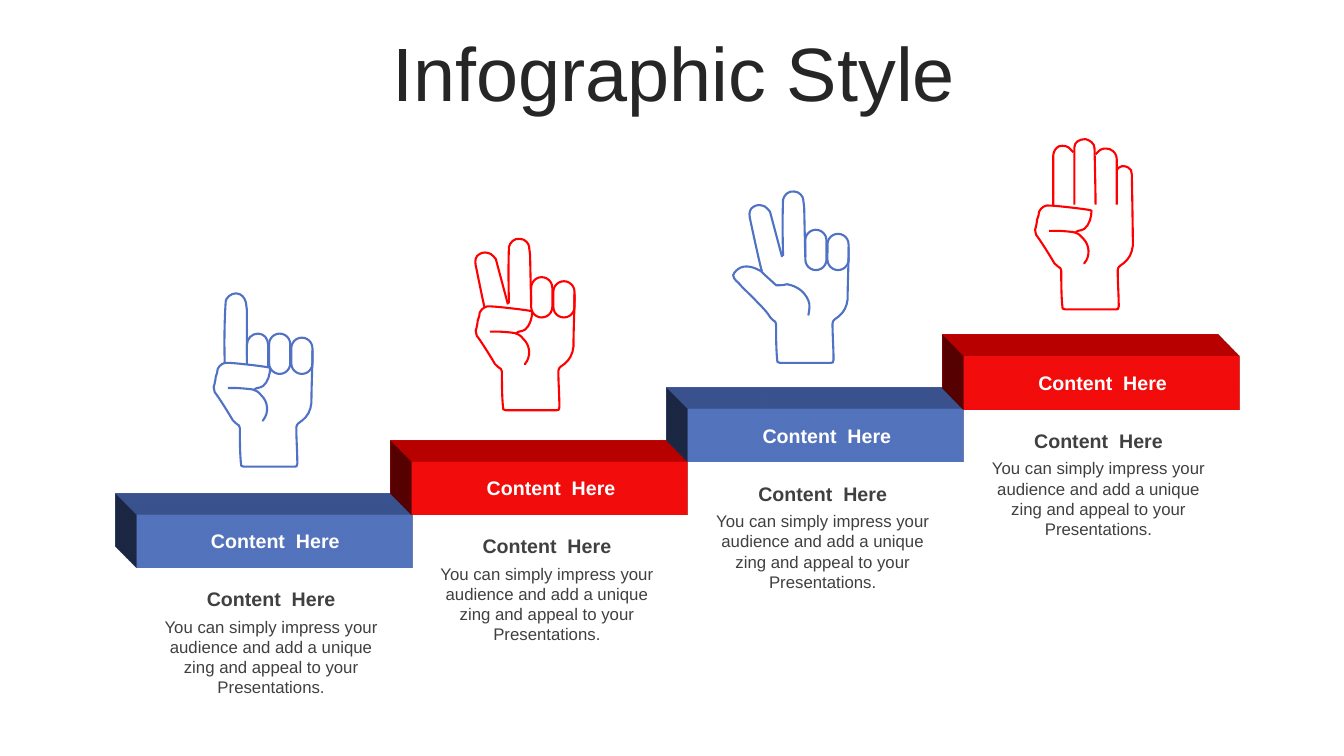
from dataclasses import dataclass

from lxml import etree
from pptx import Presentation
from pptx import util as u
from pptx.dml.color import RGBColor
from pptx.enum import shapes, text
from pptx.oxml.ns import qn

COLORS = {"title": "262626", "body": "404040", "label": "FFFFFF",
          "blue": "5072C4", "red": "FF0000"}
FONT = "Arial"
HEADING = "Content  Here"
BODY = "You can simply impress your audience and add a unique zing and appeal to your Presentations."

# Steps of the staircase, in centimetres
STEP_LEFT, STEP_TOP = 3.44, 12.97
STEP_WIDTH, STEP_HEIGHT, STEP_RISE, STEP_DEPTH = 6.95, 1.33, 1.33, 2.54

# Hand strokes: chained cubic curves (start, then two controls and an end each),
# in hundredths of an inch from the hand's origin
HAND_UNIT = u.Cm(2.54) / 100
WRIST = (" 32 138 35 141 37 142 37 142 38 144 38 145 38 156 38 168 39 179"
         " 39 182 39 183 42 183 58 183 75 183 92 183 94 183 95 183 95 180"
         " 95 168 94 156 94 144 94 142 95 141 96 140 102 136 106 132 108 125"
         " 108 123 109 121 109 120")
FIST = ("52 107 53 106 54 105 55 105 57 105 59 104 61 103 66 99 68 91 68 85"
        " 68 84 32 80 27 80 22 79 18 82 16 86 16 89 15 91 14 94"
        " 14 96 13 101 12 104 12 106 12 107 13 109 17 114 27 130 31 137") + WRIST
OPEN_PALM = ("70 136 71 130 72 126 70 121 66 112 59 107 49 105 46 106 43 106 40 106"
             " 39 107 39 106 38 106 35 103 28 97 26 95 23 92 22 91 21 91"
             " 14 87 4 85 -2 92 -4 95 -8 96 1 104 2 106 27 129 31 136") + WRIST
OUTER_EDGE = " 109 103 110 86 110 68"
LITTLE_FINGER = (" 109 103 108 49 108 49 108 46 107 43 104 42"
                 " 102 41 98 40 96 42 95 42 94 43 93 45")
THUMB = ("26 105 29 105 32 105 35 105 36 105 52 106 52 107"
         " 56 108 57 110 60 113 66 119 67 130 61 137 61 138 61 138 61 138")
POINTING_INDEX = ("45 73 45 73 45 30 45 28 45 27 44 20 44 20 43 16 40 11 34 11"
                  " 29 11 24 16 24 19 24 20 22 44 23 80")
CURLED_MIDDLE = ("45 81 45 81 45 62 45 62 45 56 50 51 56 51 62 51 66 56 66 62"
                 " 66 62 66 84 66 84")
RAISED_MIDDLE = ("67 78 67 78 66 31 66 30 66 28 65 22 65 21 65 18 61 13 56 13"
                 " 50 12 46 17 45 21 45 21 44 41 45 77")
LEANING_INDEX = ("44 78 44 78 32 33 32 33 31 31 28 29 27 28 23 26 19 26 16 28"
                 " 12 30 11 34 12 39")
UPRIGHT_INDEX = ("50 27 49 26 48 25 47 24 45 21 40 20 36 21 32 23 30 27 30 31"
                 " 30 51 30 60 30 80")
UPRIGHT_MIDDLE = ("72 79 72 64 71 24 71 23 71 18 66 15 62 14 56 14 51 17 51 22"
                  " 51 22 51 63 51 79")
UPRIGHT_RING = ("72 29 74 28 74 27 75 26 78 23 82 23 86 24 91 26 93 30 93 34"
                " 93 36 93 39 93 41 93 41 93 71 93 79")
CURLED_FINGERS = ((67, 51, 21, 40), (89, 55, 21, 36))  # left, top, width, height


@dataclass(frozen=True)
class Step:
    color: str
    hand_left: int
    hand_top: int
    strokes: tuple[str, ...]
    curled: tuple[tuple[int, int, int, int], ...] = CURLED_FINGERS


STEPS = (
    Step("blue", 200, 280, (POINTING_INDEX, CURLED_MIDDLE, THUMB, FIST + OUTER_EDGE)),
    Step("red", 460, 224, (RAISED_MIDDLE, LEANING_INDEX + " 16 58 20 79 21 81",
                           THUMB, FIST + OUTER_EDGE)),
    Step("blue", 732, 177, (RAISED_MIDDLE, LEANING_INDEX + " 16 58 23 90 24 92",
                            OPEN_PALM + OUTER_EDGE)),
    Step("red", 1015, 124, (UPRIGHT_INDEX, UPRIGHT_MIDDLE, UPRIGHT_RING,
                            THUMB, FIST + LITTLE_FINGER), ()),
)


def rgb(name: str) -> RGBColor:
    return RGBColor.from_string(COLORS[name])


def outline(shape, color: str) -> None:
    shape.shadow.inherit = False
    shape.fill.background()
    shape.line.color.rgb = rgb(color)
    shape.line.width = u.Pt(1.5)


def draw_stroke(slide, step: Step, stroke: str):
    """Draw a freeform and turn each three of its segments into one cubic curve."""
    numbers = [int(number) for number in stroke.split()]
    knots = [(round((step.hand_left + x) * HAND_UNIT), round((step.hand_top + y) * HAND_UNIT))
             for x, y in zip(numbers[::2], numbers[1::2])]
    builder = slide.shapes.build_freeform(*knots[0])
    builder.add_line_segments(knots[1:], close=False)
    shape = builder.convert_to_shape()
    outline_path = next(shape._element.iter(qn("a:path")))
    segments = outline_path.findall(qn("a:lnTo"))
    for first in range(0, len(segments), 3):
        curve = etree.SubElement(outline_path, qn("a:cubicBezTo"))
        for segment in segments[first:first + 3]:
            curve.append(segment[0])
            outline_path.remove(segment)
    return shape


def draw_hand(slide, step: Step) -> None:
    for stroke in step.strokes:
        outline(draw_stroke(slide, step, stroke), step.color)
    for x, y, width, height in step.curled:
        box = (step.hand_left + x, step.hand_top + y, width, height)
        finger = slide.shapes.add_shape(shapes.MSO_SHAPE.ROUNDED_RECTANGLE,
                                        *(round(side * HAND_UNIT) for side in box))
        finger.adjustments[0] = 0.5
        outline(finger, step.color)


def draw_block(slide, step: Step, left: float, top: float) -> None:
    block = slide.shapes.add_shape(shapes.MSO_SHAPE.RECTANGLE, u.Cm(left), u.Cm(top),
                                   u.Cm(STEP_WIDTH), u.Cm(STEP_HEIGHT))
    block.shadow.inherit = False
    block.fill.solid()
    block.fill.fore_color.rgb = rgb(step.color)
    block.line.fill.background()
    # Depth towards the upper left
    properties = block._element.spPr
    scene = etree.SubElement(properties, qn("a:scene3d"))
    etree.SubElement(scene, qn("a:camera"), prst="obliqueTopLeft")
    etree.SubElement(scene, qn("a:lightRig"), rig="threePt", dir="t")
    etree.SubElement(properties, qn("a:sp3d"), extrusionH=str(u.Cm(STEP_DEPTH)))


def style(paragraph, size: int, color: str, bold: bool = False) -> None:
    paragraph.alignment = text.PP_ALIGN.CENTER
    for run in paragraph.runs:
        run.font.name, run.font.size, run.font.bold = FONT, u.Pt(size), bold
        run.font.color.rgb = rgb(color)


def add_text(slide, wording: str, box: tuple[float, float, float, float], size: int,
             color: str, bold: bool = False, left_inset: float = 0.0) -> None:
    frame = slide.shapes.add_textbox(*(u.Cm(side) for side in box)).text_frame
    frame.word_wrap = True
    frame.auto_size = text.MSO_AUTO_SIZE.SHAPE_TO_FIT_TEXT
    frame.margin_left = u.Cm(left_inset)
    frame.vertical_anchor = text.MSO_ANCHOR.MIDDLE if bold else text.MSO_ANCHOR.TOP
    frame.text = wording
    style(frame.paragraphs[0], size, color, bold)


def add_title(slide) -> None:
    title = slide.shapes.title
    title.left, title.top, title.width, title.height = (
        u.Cm(side) for side in (0.9, 0.94, 32.16, 2.01))
    frame = title.text_frame
    frame.text = "Infographic Style"
    frame.auto_size = text.MSO_AUTO_SIZE.NONE
    frame.vertical_anchor = text.MSO_ANCHOR.MIDDLE
    frame.paragraphs[0].line_spacing = 0.9
    style(frame.paragraphs[0], 54, "title")


def main() -> None:
    deck = Presentation()
    deck.slide_width, deck.slide_height = u.Cm(33.87), u.Cm(19.05)
    slide = deck.slides.add_slide(deck.slide_layouts[5])
    add_title(slide)

    for index, step in enumerate(STEPS):
        left = STEP_LEFT + index * STEP_WIDTH
        top = STEP_TOP - index * STEP_RISE
        draw_hand(slide, step)
        draw_block(slide, step, left, top)
        # Label on the block, then heading and text below it
        add_text(slide, HEADING, (left + 1.62, top + 0.23, 3.76, 0.86), 14, "label", True, 0.25)
        add_text(slide, HEADING, (left + 0.47, top + 1.69, 6.1, 0.86), 14, "body", True)
        add_text(slide, BODY, (left + 0.47, top + 2.44, 6.1, 2.31), 12, "body")

    deck.save("out.pptx")


if __name__ == "__main__":
    main()
